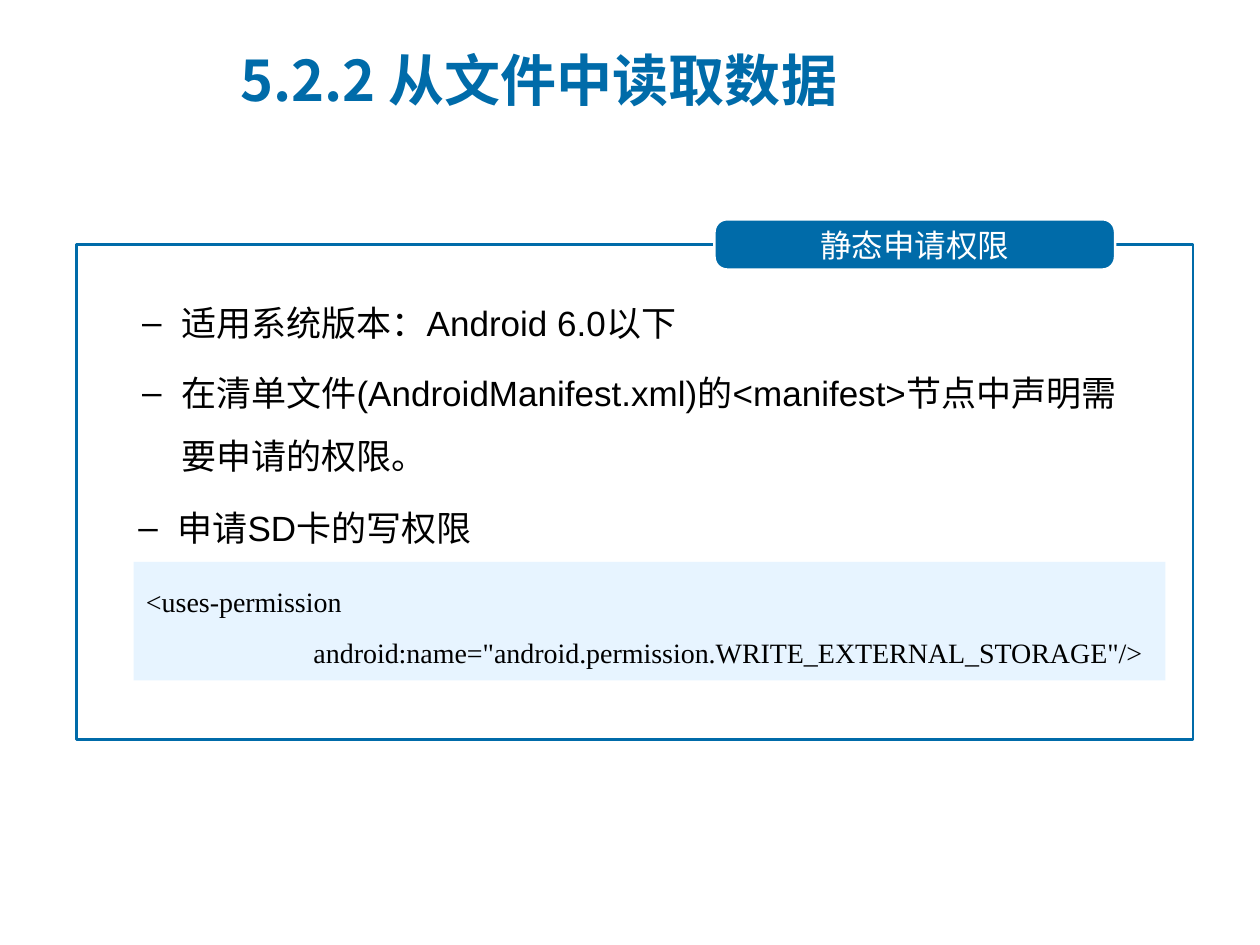
from pptx import Presentation, util as u
from pptx.dml import color
from pptx.enum import shapes, text
from pptx.oxml import ns
from lxml import etree

BLUE, PALE, WHITE, BLACK = "006BA9", "E7F4FF", "FFFFFF", "000000"
CJK = "Noto Sans CJK SC"
COLUMNS, ROWS = 100, 75


def rgb(value):
    return color.RGBColor.from_string(value)


def add_element(parent, tag, **attributes):
    return etree.SubElement(parent, ns.qn(tag), attributes)


class PermissionSlide:
    title_style = {"name": CJK, "size": u.Pt(32), "bold": True}
    label_style = {"name": CJK, "size": u.Pt(18)}
    bullet_style = {"name": "Arial", "size": u.Pt(20)}
    code_style = {"name": "Times New Roman", "size": u.Pt(16)}

    def __init__(self, presentation):
        self.slide = presentation.slides.add_slide(presentation.slide_layouts[6])
        self.column = presentation.slide_width / COLUMNS
        self.row = presentation.slide_height / ROWS

    def place(self, left, top, width, height):
        return [int(left * self.column), int(top * self.row),
                int(width * self.column), int(height * self.row)]

    def box(self, area, fill=None, line=None, kind=shapes.MSO_SHAPE.RECTANGLE):
        shape = self.slide.shapes.add_shape(kind, *self.place(*area))
        shape.shadow.inherit = False
        if fill:
            shape.fill.solid()
            shape.fill.fore_color.rgb = rgb(fill)
        else:
            shape.fill.background()
        if line:
            shape.line.color.rgb = rgb(line)
            shape.line.width = u.Pt(1.5)
        else:
            shape.line.fill.background()
        return shape

    def add_lines(self, shape, lines, style, ink=BLACK, align=text.PP_ALIGN.LEFT,
                  anchor=text.MSO_ANCHOR.TOP, spacing=None, before=0, bullet=None):
        frame = shape.text_frame
        frame.word_wrap = True
        frame.vertical_anchor = anchor
        for index, line in enumerate(lines):
            paragraph = frame.add_paragraph() if index else frame.paragraphs[0]
            paragraph.alignment = align
            paragraph.line_spacing = spacing
            if index and before:
                paragraph.space_before = u.Pt(before)
            if bullet:
                properties = paragraph._p.get_or_add_pPr()
                properties.set("marL", str(u.Inches(0.81)))
                properties.set("indent", str(u.Inches(-0.31)))
                add_element(properties, "a:buFont", typeface="Arial")
                add_element(properties, "a:buChar", char=bullet)
            run = paragraph.add_run()
            run.text = line
            for name, value in style.items():
                setattr(run.font, name, value)
            run.font.color.rgb = rgb(ink)
            add_element(run._r.get_or_add_rPr(), "a:ea", typeface=CJK)

    def title(self, area, words):
        shape = self.slide.shapes.add_textbox(*self.place(*area))
        self.add_lines(shape, [words], self.title_style, BLUE,
                       anchor=text.MSO_ANCHOR.MIDDLE)

    def label(self, area, words):
        shape = self.box(area, BLUE, WHITE, shapes.MSO_SHAPE.ROUNDED_RECTANGLE)
        shape.adjustments[0] = 0.25
        self.add_lines(shape, [words], self.label_style, WHITE,
                       text.PP_ALIGN.CENTER, text.MSO_ANCHOR.MIDDLE)

    def bullets(self, area, lines):
        shape = self.slide.shapes.add_textbox(*self.place(*area))
        self.add_lines(shape, lines, self.bullet_style, spacing=1.5, before=4, bullet="–")

    def code(self, area, lines):
        self.add_lines(self.box(area, PALE), lines, self.code_style, spacing=1.5)


def main():
    presentation = Presentation()
    presentation.slide_width, presentation.slide_height = u.Inches(10), u.Inches(7.5)
    page = PermissionSlide(presentation)
    page.box((6.1, 19.4, 88.6, 39.3), line=BLUE)
    page.label((56.7, 17.4, 31.8, 4), "静态申请权限")
    page.bullets((5.3, 21.8, 86.5, 10.2), [
        "适用系统版本：Android 6.0以下",
        "在清单文件(AndroidManifest.xml)的<manifest>节点中声明需要申请的权限。",
    ])
    page.title((18.1, 2.1, 63.5, 8.4), "5.2.2 从文件中读取数据")
    page.code((10.6, 44.6, 81.9, 9.4), [
        "<uses-permission",
        '                        android:name="android.permission.WRITE_EXTERNAL_STORAGE"/>',
    ])
    page.bullets((5, 38, 86.5, 5.1), ["申请SD卡的写权限"])
    presentation.save("out.pptx")


if __name__ == "__main__":
    main()
